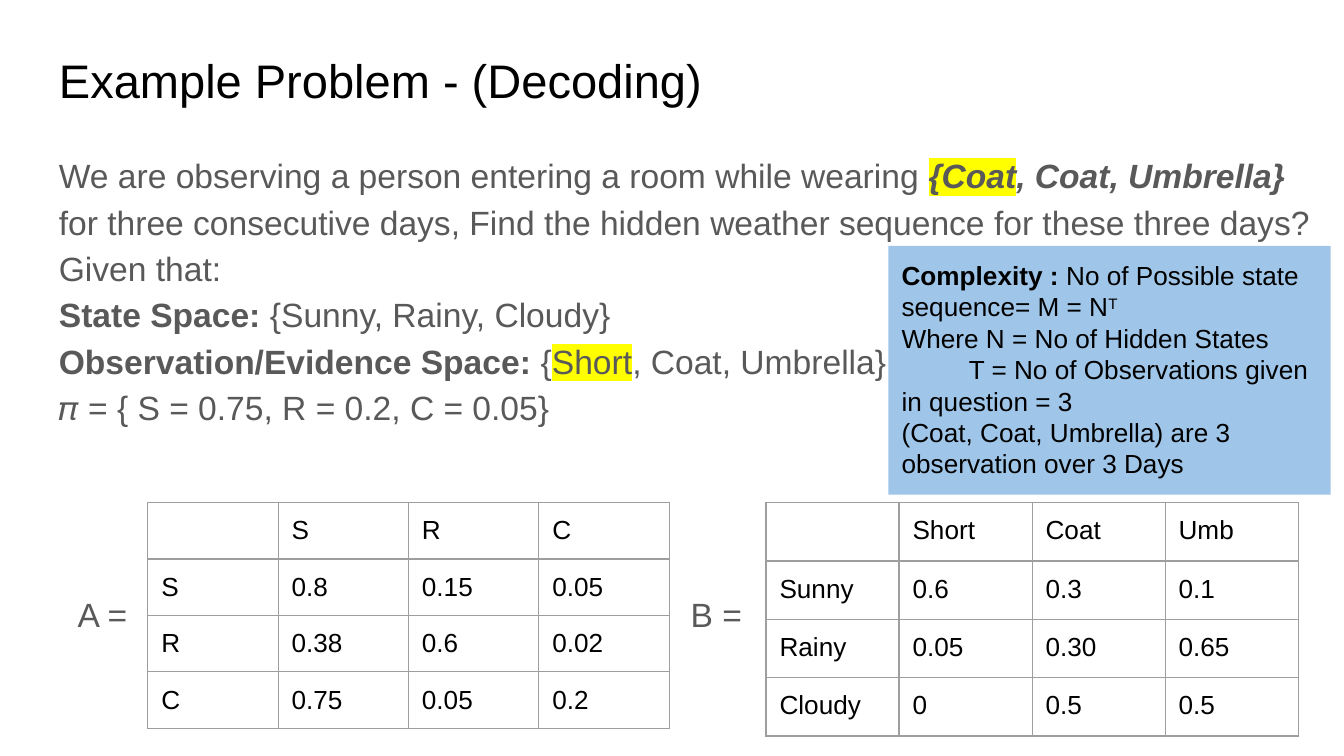
from pptx import Presentation
from pptx.dml.color import RGBColor
from pptx.enum.shapes import MSO_SHAPE as Shape
from pptx.enum.text import MSO_ANCHOR as Anchor
from pptx.oxml import parse_xml
from pptx.oxml.ns import nsdecls, qn
from pptx.util import Inches, Pt

BLACK, GREY, BORDER = "000000", "595959", "9E9E9E"
BOLD = {"bold": True}
MARKED = {"highlight": "FFFF00"}
MARGINS = {f"margin_{side}": Inches(0.1) for side in ("left", "right", "top", "bottom")}


def colour(value):
    return RGBColor.from_string(value)


def write(para, spans, size, ink):
    """Fill a paragraph with (text, format) spans."""
    for text, formats in spans:
        span = para.add_run()
        span.text = text
        span.font.color.rgb = colour(ink)
        values = {"name": "Arial", "size": Pt(size), **formats}
        highlight = values.pop("highlight", None)
        baseline = values.pop("baseline", None)
        for name, value in values.items():
            setattr(span.font, name, value)
        properties = span.font._element
        if highlight:
            properties.find(qn("a:solidFill")).addnext(parse_xml(
                f'<a:highlight {nsdecls("a")}><a:srgbClr val="{highlight}"/></a:highlight>'))
        if baseline:
            properties.set("baseline", str(baseline))


# Widescreen page, 16:9
deck = Presentation()
deck.slide_width = Inches(10)
deck.slide_height = Inches(10) * 9 // 16
page = deck.slides.add_slide(deck.slide_layouts[6])

# Title, problem statement and matrix labels
statement = [
    [("We are observing a person entering a room while wearing ", {}),
     ("{Coat", {"bold": True, "italic": True, **MARKED}),
     (", Coat, Umbrella}", {"bold": True, "italic": True}),
     (" for three consecutive days, Find the hidden weather sequence "
      "for these three days? Given that:", {})],
    [("State Space:", BOLD), (" {Sunny, Rainy, Cloudy}", {})],
    [("Observation/Evidence Space:", BOLD), (" {", {}), ("Short", MARKED),
     (", Coat, Umbrella}", {})],
    [("𝜋", BOLD), (" = { S = 0.75, R = 0.2, C = 0.05}", {})],
]
texts = [
    ((0.34, 0.27, 9.32, 0.63), Anchor.BOTTOM, 25.2, BLACK, 1,
     [[("Example Problem - (Decoding)", {})]]),
    ((0.34, 1.01, 9.66, 2.4), Anchor.TOP, 18, GREY, 1.15, statement),
    ((0.48, 4.32, 0.62, 0.5), Anchor.MIDDLE, 18, GREY, 1, [[("A =", {})]]),
    ((5.04, 4.32, 0.62, 0.5), Anchor.MIDDLE, 18, GREY, 1, [[("B =", {})]]),
]
for place, anchor, size, ink, spacing, lines in texts:
    frame = page.shapes.add_textbox(*map(Inches, place)).text_frame
    for name, value in {"word_wrap": True, "vertical_anchor": anchor, **MARGINS}.items():
        setattr(frame, name, value)
    for index, spans in enumerate(lines):
        para = frame.add_paragraph() if index else frame.paragraphs[0]
        para.line_spacing = spacing
        write(para, spans, size, ink)

# Transition matrix A and emission matrix B
matrices = [
    (1.1, 0.97, 0.42, 0.08, [
        ["", "S", "R", "C"],
        ["S", "0.8", "0.15", "0.05"],
        ["R", "0.38", "0.6", "0.02"],
        ["C", "0.75", "0.05", "0.2"]]),
    (5.7, 0.99, 0.43, 0.1, [
        ["", "Short", "Coat", "Umb"],
        ["Sunny", "0.6", "0.3", "0.1"],
        ["Rainy", "0.05", "0.30", "0.65"],
        ["Cloudy", "0", "0.5", "0.5"]]),
]
for left, column_width, row_height, bottom, values in matrices:
    table = page.shapes.add_table(4, 4, Inches(left), Inches(3.74),
                                  Inches(4 * column_width), Inches(4 * row_height)).table
    table.first_row = table.horz_banding = False
    for row, row_values in zip(table.rows, values):
        for cell, value in zip(row.cells, row_values):
            for name, margin in {**MARGINS, "margin_bottom": Inches(bottom)}.items():
                setattr(cell, name, margin)
            para = cell.text_frame.paragraphs[0]
            if value:
                write(para, [(value, {})], 14, BLACK)
            else:
                para._p.get_or_add_endParaRPr().set("sz", "1400")
            properties = cell._tc.get_or_add_tcPr()
            for edge in ("lnL", "lnR", "lnT", "lnB"):
                properties.append(parse_xml(
                    f'<a:{edge} {nsdecls("a")} w="{Pt(0.75)}"><a:solidFill>'
                    f'<a:srgbClr val="{BORDER}"/></a:solidFill></a:{edge}>'))
            cell.fill.background()

# Complexity note
note = page.shapes.add_shape(Shape.RECTANGLE, Inches(6.61), Inches(1.83),
                             Inches(3.29), Inches(1.85))
note.shadow.inherit = False
note.fill.solid()
note.fill.fore_color.rgb = colour("9FC5E8")
note.line.fill.background()
frame = note.text_frame
for name, value in {"word_wrap": True, "vertical_anchor": Anchor.TOP, **MARGINS}.items():
    setattr(frame, name, value)
note_lines = [
    (0, [("Complexity :", BOLD), (" No of Possible state sequence= M = N", {}),
         ("T", {"baseline": 30000})]),
    (0, [("Where N = No of Hidden States", {})]),
    (0.5, [("T = No of Observations given in question = 3", {})]),
    (0, [("(Coat, Coat, Umbrella) are 3 observation over 3 Days", {})]),
]
for index, (indent, spans) in enumerate(note_lines):
    para = frame.add_paragraph() if index else frame.paragraphs[0]
    properties = para._p.get_or_add_pPr()
    for name, value in {"algn": "l", "marL": 0, "indent": Inches(indent)}.items():
        properties.set(name, str(value))
    write(para, spans, 14, BLACK)

deck.save("out.pptx")
